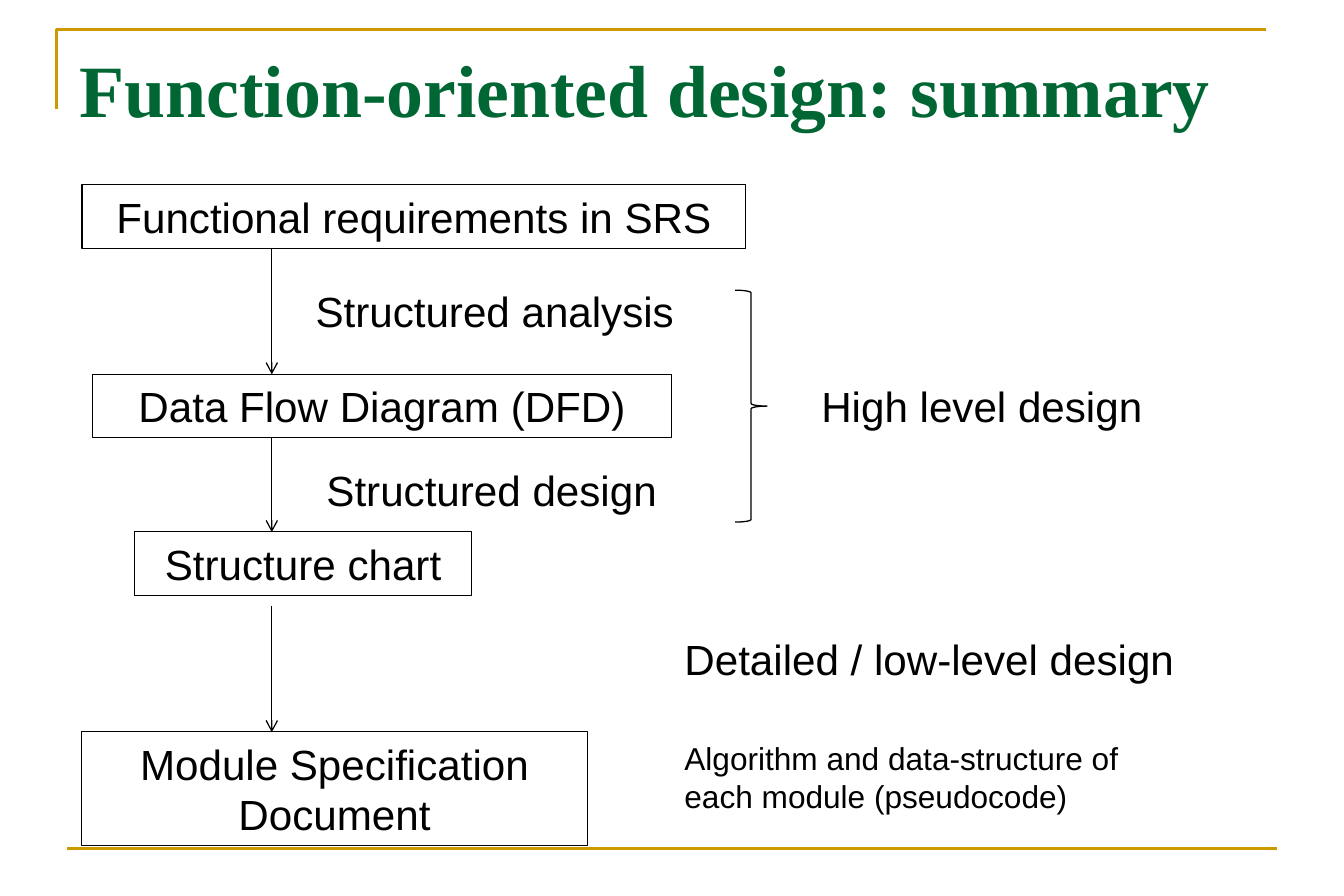
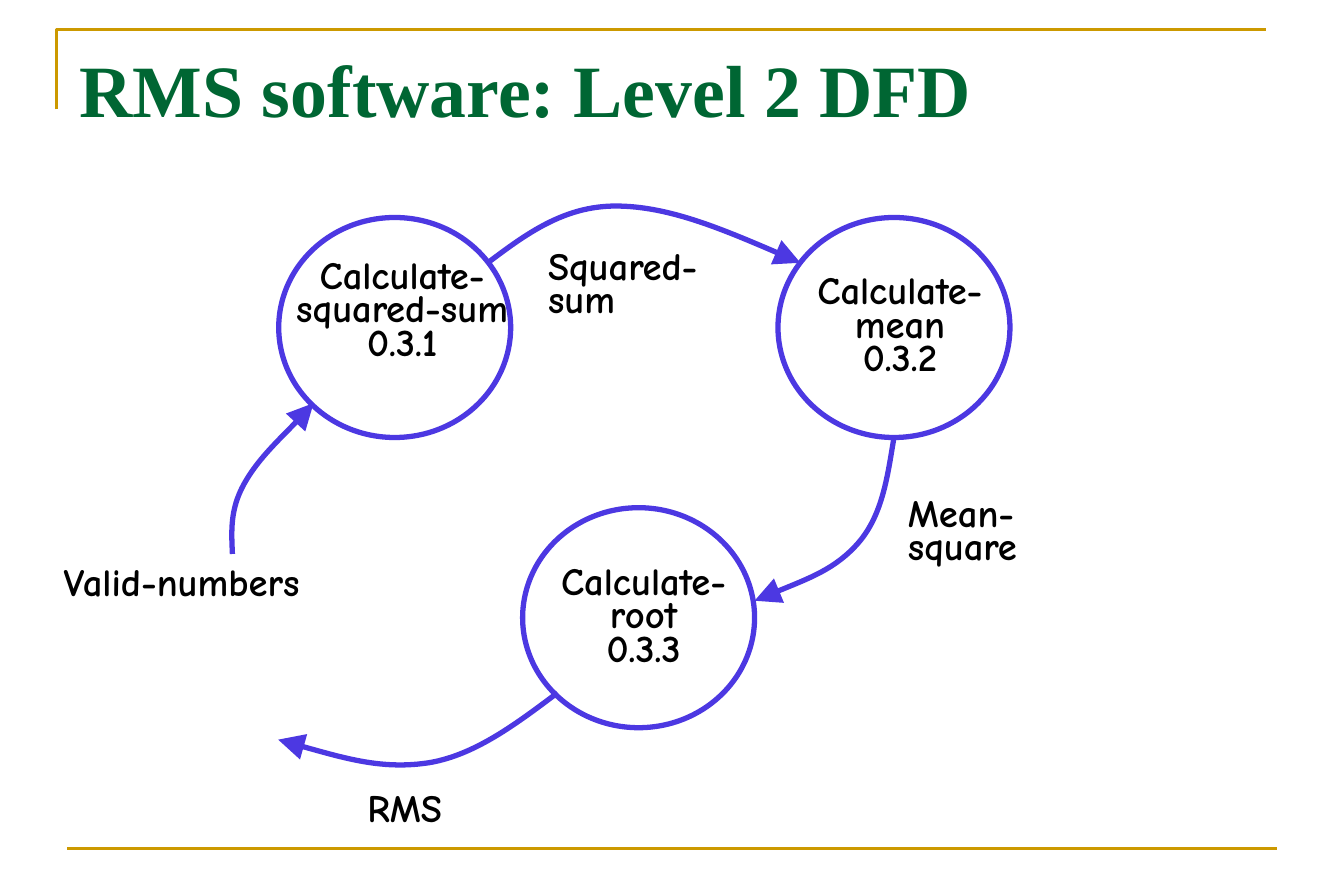
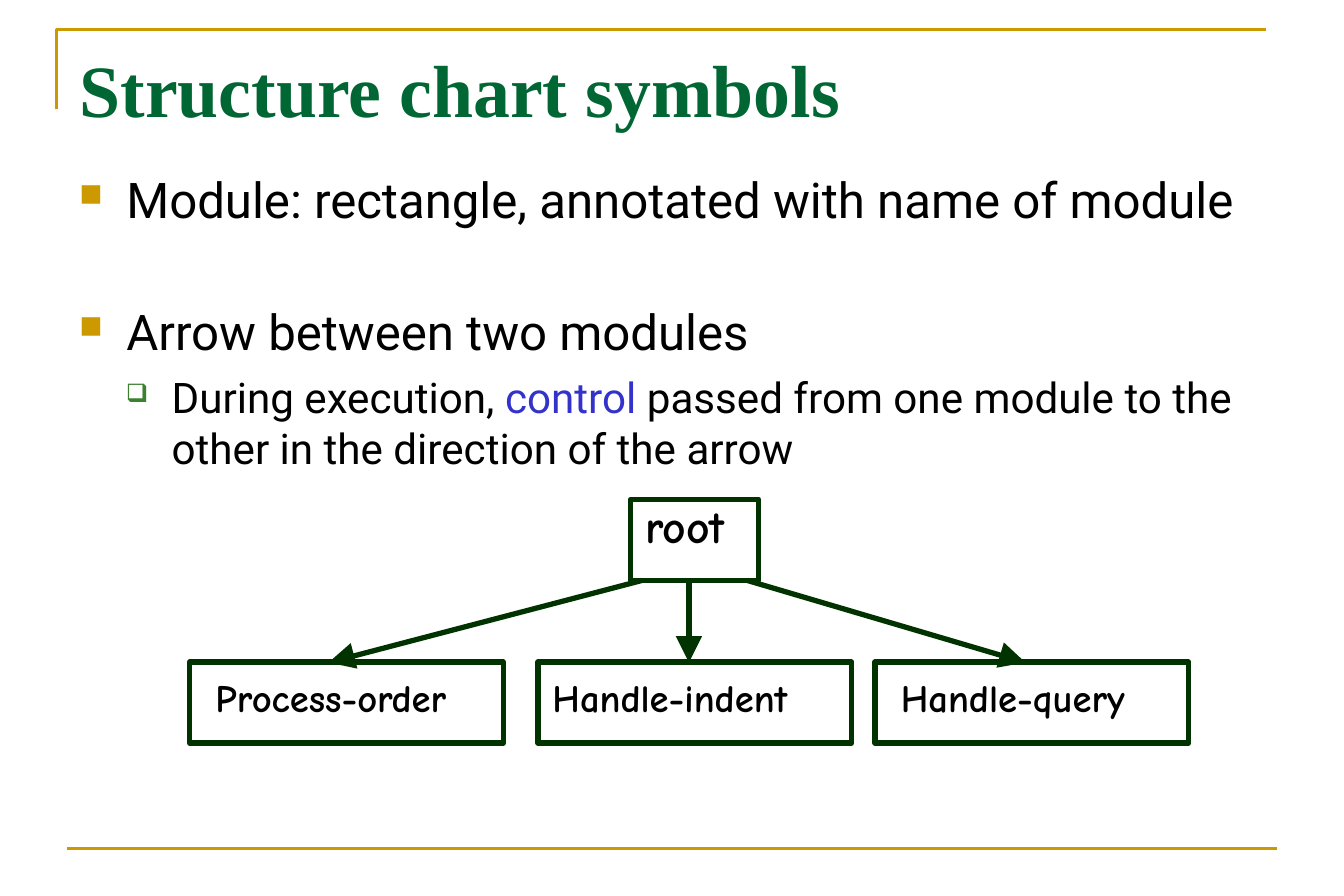
from pptx import Presentation
from pptx.dml.color import RGBColor
from pptx.enum.shapes import MSO_CONNECTOR, MSO_SHAPE
from pptx.enum.text import MSO_ANCHOR, PP_ALIGN
from pptx.oxml.ns import qn
from pptx.shapes.connector import Connector
from pptx.util import Cm, Pt
from lxml import etree

STRAIGHT = MSO_CONNECTOR.STRAIGHT
RECTANGLE, ROUNDED = MSO_SHAPE.RECTANGLE, MSO_SHAPE.ROUNDED_RECTANGLE
OVAL, BRACE = MSO_SHAPE.OVAL, MSO_SHAPE.RIGHT_BRACE
LEFT, CENTER, TOP = PP_ALIGN.LEFT, PP_ALIGN.CENTER, MSO_ANCHOR.TOP

COLORS = {
    "gold": "CC9900", "title": "006633", "text": "000000", "flow": "4C38E2",
    "module": "003300", "control": "3333CC", "sub_bullet": "3B812F",
}
WIDE_INSETS = (0.25, 0.13)
TIGHT_INSETS = (0.05, 0.15)


def outline(shape, color, width, head=None, head_size="med"):
    """Unfilled shape or line without shadow, with an optional arrowhead at its end."""
    if not isinstance(shape, Connector):
        shape.fill.background()
    shape.line.color.rgb = RGBColor.from_string(COLORS[color])
    shape.line.width = Pt(width)
    properties = shape.element.spPr
    if head:
        etree.SubElement(properties.find(qn("a:ln")), qn("a:tailEnd"),
                         type=head, w=head_size, len=head_size)
    etree.SubElement(properties, qn("a:effectLst"))


def write(shape, text, font, size, color="text", bold=False, align=LEFT,
          insets=WIDE_INSETS, spacing=1.0):
    """One styled paragraph, set from the top of the shape."""
    frame = shape.text_frame
    frame.word_wrap = True
    frame.vertical_anchor = TOP
    frame.margin_left, frame.margin_top = Cm(insets[0]), Cm(insets[1])
    frame.margin_right, frame.margin_bottom = Cm(min(insets[0], 0.25)), Cm(0.13)
    paragraph = frame.paragraphs[0]
    paragraph.text = text
    paragraph.alignment = align
    paragraph.line_spacing = spacing
    for run in paragraph.runs:
        run.font.name, run.font.size, run.font.bold = font, Pt(size), bold
        run.font.color.rgb = RGBColor.from_string(COLORS[color])


prs = Presentation()
prs.slide_width, prs.slide_height = Cm(27), Cm(18)

# Shared frame and title
slides = []
for title in ("Function-oriented design: summary", "RMS software: Level 2 DFD",
              "Structure chart symbols"):
    slide = prs.slides.add_slide(prs.slide_layouts[6])
    corner = slide.shapes.build_freeform(Cm(1.13), Cm(2.2))
    corner.add_line_segments([(Cm(1.13), Cm(0.6)), (Cm(25.43), Cm(0.6))], close=False)
    outline(corner.convert_to_shape(), "gold", 1.5)
    footer_rule = slide.shapes.add_connector(
        STRAIGHT, Cm(1.35), Cm(17.04), Cm(25.65), Cm(17.04))
    outline(footer_rule, "gold", 1.5)
    heading = slide.shapes.add_textbox(Cm(1.35), Cm(0.74), Cm(24.3), Cm(1.7))
    write(heading, title, "Times New Roman", 42, "title", bold=True)
    slides.append(slide)
summary, dfd, symbols = (slide.shapes for slide in slides)

# Slide 1: documents, from requirements to module specification
for text, x, y, w, h in (
    ("Functional requirements in SRS", 1.65, 3.71, 13.33, 1.28),
    ("Data Flow Diagram (DFD)", 1.86, 7.52, 11.63, 1.27),
    ("Structure chart", 2.7, 10.68, 6.78, 1.28),
    ("Module Specification Document", 1.64, 14.7, 10.16, 2.29),
):
    document = summary.add_shape(RECTANGLE, Cm(x), Cm(y), Cm(w), Cm(h))
    outline(document, "text", 0.75)
    write(document, text, "Arial", 24, align=CENTER)

for start, end in ((4.98, 7.52), (8.79, 10.69), (12.17, 14.71)):
    step = summary.add_connector(STRAIGHT, Cm(5.46), Cm(start), Cm(5.46), Cm(end))
    outline(step, "text", 0.75, "arrow")

# Slide 1: activities and design levels
for text, x, y, w, h, size in (
    ("Structured analysis", 6.09, 5.61, 8.46, 1.27, 24),
    ("Structured design", 6.31, 9.19, 8.46, 1.27, 24),
    ("High level design", 16.25, 7.52, 9.32, 1.27, 24),
    ("Detailed / low-level design", 13.5, 12.6, 11.43, 1.27, 24),
    ("Algorithm and data-structure of each module (pseudocode)",
     13.5, 14.71, 9.96, 1.78, 18),
):
    activity = summary.add_textbox(Cm(x), Cm(y), Cm(w), Cm(h))
    write(activity, text, "Arial", size)

high_level = summary.add_shape(BRACE, Cm(14.77), Cm(5.83), Cm(0.64), Cm(4.66))
outline(high_level, "text", 0.75)

# Slide 2: processes
for x, y in ((5.6, 4.37), (15.63, 4.37), (10.5, 10.2)):
    process = dfd.add_shape(OVAL, Cm(x), Cm(y), Cm(4.66), Cm(4.42))
    outline(process, "flow", 3)

# Slide 2: data flows, each made of two Bézier arcs
for start, *controls in (
    ((4.67, 11.13), (4.65, 10.67), (4.62, 10.24), (4.9, 9.73),
     (5.18, 9.22), (6.07, 8.38), (6.3, 8.1)),
    ((9.8, 5.28), (10.57, 4.7), (11.33, 4.14), (12.37, 4.14),
     (13.41, 4.14), (14.76, 4.7), (16.08, 5.28)),
    ((17.96, 8.79), (17.83, 9.58), (17.73, 10.34), (17.25, 10.9),
     (16.79, 11.43), (15.98, 11.73), (15.16, 12.07)),
    ((11.2, 13.92), (10.36, 14.55), (9.55, 15.16), (8.64, 15.32),
     (7.7, 15.47), (6.65, 15.16), (5.59, 14.86)),
):
    builder = dfd.build_freeform(Cm(start[0]), Cm(start[1]))
    builder.add_line_segments([(Cm(x), Cm(y)) for x, y in controls], close=False)
    flow = builder.convert_to_shape()
    segments = list(flow.element.iter(qn("a:lnTo")))
    route = segments[0].getparent()
    for i in range(0, len(segments), 3):
        arc = etree.SubElement(route, qn("a:cubicBezTo"))
        for segment in segments[i:i + 3]:
            arc.append(segment[0])
            route.remove(segment)
    outline(flow, "flow", 3, "triangle", "lg")

# Slide 2: names of processes and flows
for text, x, y, w, h, align in (
    ("Calculate-squared-sum\n0.3.1", 5.87, 5.13, 4.42, 4.01, CENTER),
    ("Calculate-mean\n0.3.2", 15.87, 5.44, 4.42, 3.07, CENTER),
    ("Calculate-root\n0.3.3", 10.72, 11.28, 4.42, 3.07, CENTER),
    ("Valid-numbers", 1.23, 11.3, 6.15, 1.3, LEFT),
    ("Squared-sum", 10.96, 4.95, 3.73, 2.13, LEFT),
    ("Mean-square", 18.19, 9.91, 3.15, 2.13, LEFT),
    ("RMS", 7.33, 15.84, 2.79, 1.19, LEFT),
):
    name = dfd.add_textbox(Cm(x), Cm(y), Cm(w), Cm(h))
    write(name, text, "Comic Neue", 22, bold=True, align=align,
          insets=TIGHT_INSETS, spacing=0.72)

# Slide 3: bulleted rules
rules = symbols.add_textbox(Cm(1.34), Cm(3.27), Cm(24.3), Cm(13.34)).text_frame
rules.word_wrap = True
MAIN = ("■", "gold", 65, 0.95, 0.95, 28)
SUB = ("❑", "sub_bullet", 60, 1.86, 0.92, 24)
for i, (parts, level, before) in enumerate((
    (["Module: rectangle, annotated with name of module"], MAIN, 0),
    (["Arrow between two modules"], MAIN, 42),
    (["During execution, ", "control ",
      "passed from one module to the other in the direction of the arrow"], SUB, 6),
)):
    bullet, bullet_color, bullet_size, margin, hanging, size = level
    rule = rules.add_paragraph() if i else rules.paragraphs[0]
    properties = rule._p.get_or_add_pPr()
    properties.set("marL", str(Cm(margin)))
    properties.set("indent", str(-Cm(hanging)))
    rule.space_before = Pt(before)
    color_node = etree.SubElement(properties, qn("a:buClr"))
    etree.SubElement(color_node, qn("a:srgbClr"), val=COLORS[bullet_color])
    etree.SubElement(properties, qn("a:buSzPct"), val=str(bullet_size * 1000))
    etree.SubElement(properties, qn("a:buChar"), char=bullet)
    for part in parts:
        run = rule.add_run()
        run.text = part
        run.font.name, run.font.size = "Roboto", Pt(size)
        run.font.color.rgb = RGBColor.from_string(
            COLORS["control" if part == "control " else "text"])

# Slide 3: modules of the structure chart
for text, x, y, w, size, insets in (
    ("root", 12.67, 10.03, 2.57, 26, (0.29, 0.15)),
    ("Process-order", 3.81, 13.3, 6.3, 22, (0.52, 0.39)),
    ("Handle-indent", 10.81, 13.3, 6.3, 22, (0.29, 0.39)),
    ("Handle-query", 17.58, 13.3, 6.3, 22, (0.52, 0.39)),
):
    module = symbols.add_shape(ROUNDED, Cm(x), Cm(y), Cm(w), Cm(1.63))
    module.adjustments[0] = 0
    outline(module, "module", 3)
    write(module, text, "Comic Neue", size, bold=True, insets=insets, spacing=0.85)

for start, end in ((12.9, 6.6), (13.84, 13.84), (15.01, 20.6)):
    call = symbols.add_connector(STRAIGHT, Cm(start), Cm(11.66), Cm(end), Cm(13.31))
    outline(call, "module", 3, "triangle", "lg")

prs.save("out.pptx")
